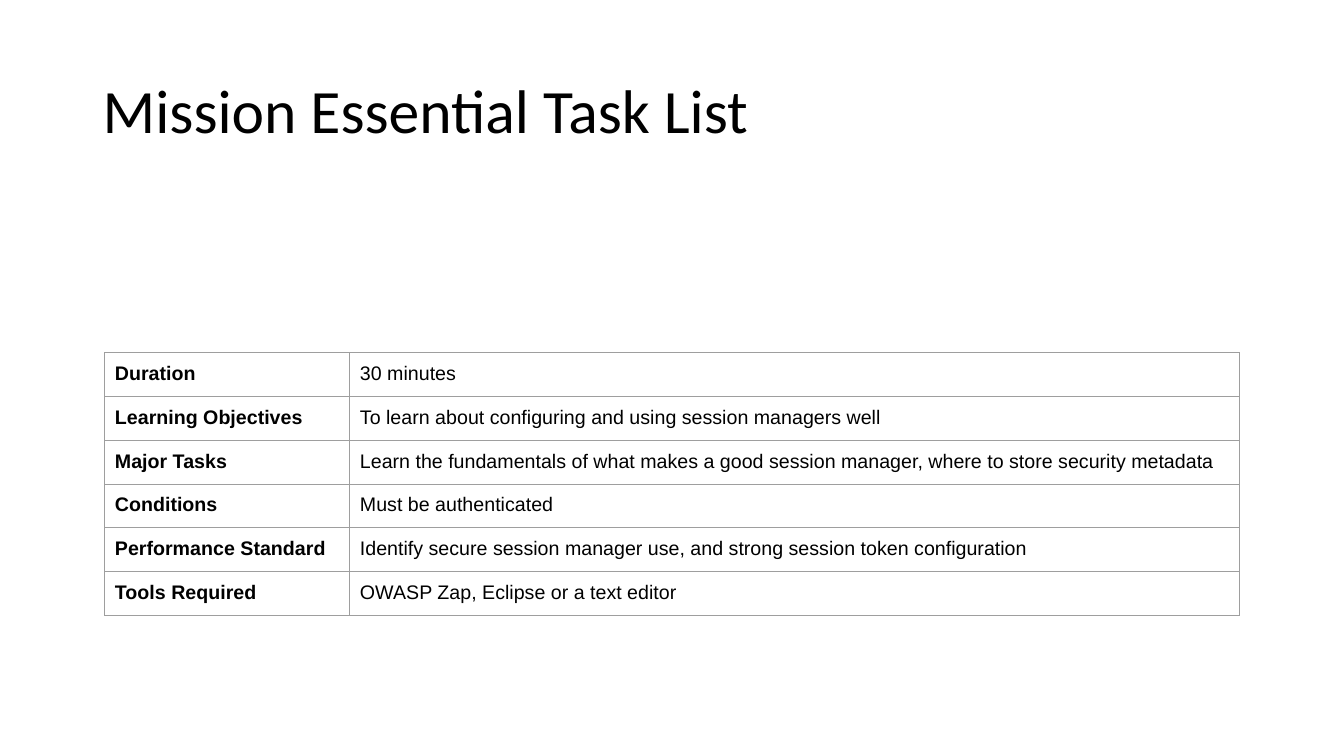
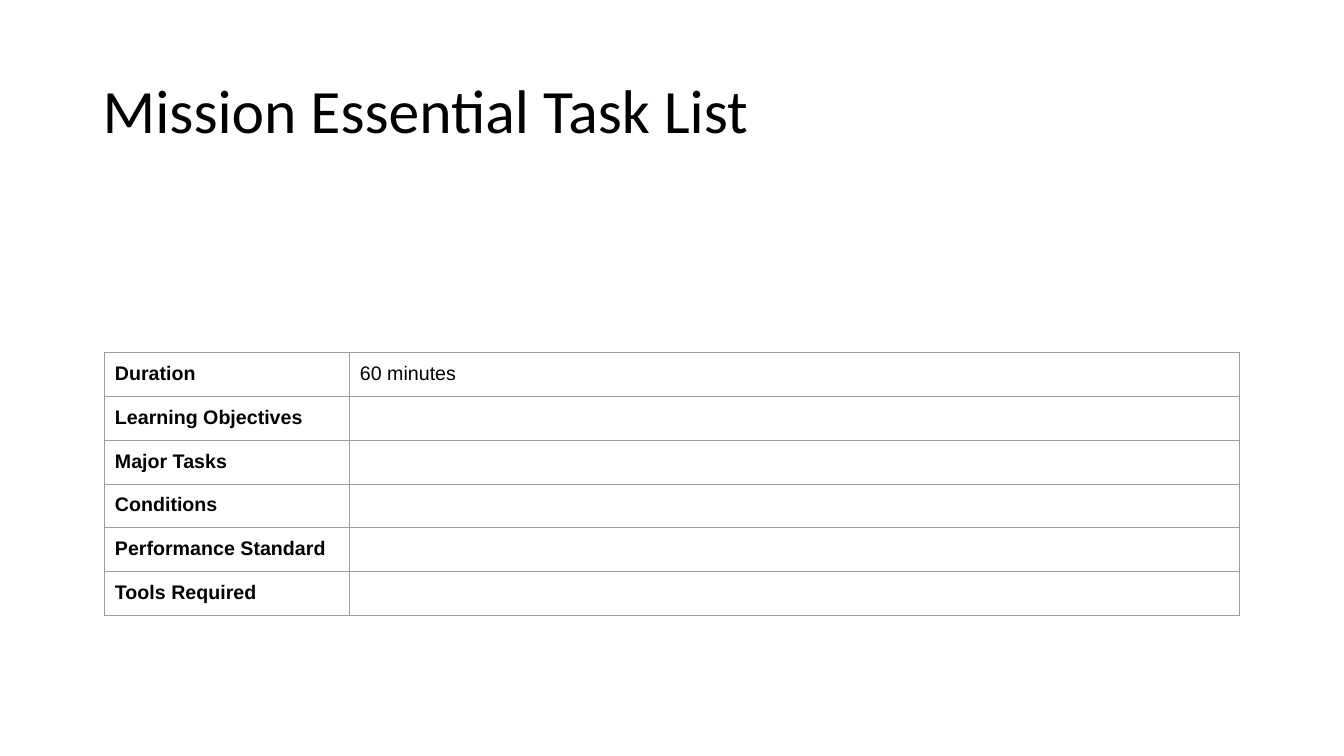
import pptx
import pptx.dml.color
import pptx.enum.text
import pptx.oxml.ns
import pptx.util
from lxml import etree

Inches = pptx.util.Inches
Pt = pptx.util.Pt

# Shared style
BLACK = pptx.dml.color.RGBColor(0x00, 0x00, 0x00)
BORDER_GREY = pptx.dml.color.RGBColor(0x9E, 0x9E, 0x9E)
TITLE_FONT = "Calibri"
TABLE_FONT = "Arial"
INSET = Inches(0.1)
COLUMN_WIDTHS = (2.43, 8.82)
ROW_HEIGHT = 0.42

# Content
TITLE = "Mission Essential Task List"
LABELS = ("Duration", "Learning Objectives", "Major Tasks",
          "Conditions", "Performance Standard", "Tools Required")
TASK_LISTS = (
    ("30 minutes",
     "To learn about configuring and using session managers well",
     "Learn the fundamentals of what makes a good session manager, "
     "where to store security metadata",
     "Must be authenticated",
     "Identify secure session manager use, and strong session token configuration",
     "OWASP Zap, Eclipse or a text editor"),
    ("60 minutes", "", "", "", "", ""),
)


def style_text(paragraph, font_name, size, bold=False):
    for span in paragraph.runs:
        span.font.name = font_name
        span.font.size = Pt(size)
        span.font.bold = bold
        span.font.color.rgb = BLACK


def set_insets(target):
    target.margin_left = target.margin_right = INSET
    target.margin_top = target.margin_bottom = INSET


def add_title(page, text):
    box = page.shapes.add_textbox(Inches(0.92), Inches(0.4), Inches(11.5), Inches(1.45))
    frame = box.text_frame
    frame.word_wrap = True
    frame.vertical_anchor = pptx.enum.text.MSO_ANCHOR.MIDDLE
    set_insets(frame)
    frame.text = text
    paragraph = frame.paragraphs[0]
    paragraph.line_spacing = 0.9
    style_text(paragraph, TITLE_FONT, 44)


def add_borders(cell):
    properties = cell._tc.get_or_add_tcPr()
    qualified = pptx.oxml.ns.qn
    for side in ("a:lnL", "a:lnR", "a:lnT", "a:lnB"):
        line = etree.SubElement(properties, qualified(side), w=str(Pt(0.75)))
        fill = etree.SubElement(line, qualified("a:solidFill"))
        etree.SubElement(fill, qualified("a:srgbClr"), val=str(BORDER_GREY))


def fill_cell(cell, text, bold):
    add_borders(cell)
    cell.fill.background()
    # Empty cells keep the default margins, so that their rows do not grow
    if text:
        set_insets(cell)
        cell.text_frame.text = text
        style_text(cell.text_frame.paragraphs[0], TABLE_FONT, 14, bold)


def add_task_table(page, values):
    frame = page.shapes.add_table(
        len(LABELS), len(COLUMN_WIDTHS), Inches(1.04), Inches(3.5),
        Inches(sum(COLUMN_WIDTHS)), Inches(ROW_HEIGHT * len(LABELS)))
    table = frame.table
    table.first_row = False
    table.horz_banding = False
    for column, width in zip(table.columns, COLUMN_WIDTHS):
        column.width = Inches(width)
    for row, label, value in zip(table.rows, LABELS, values):
        row.height = Inches(ROW_HEIGHT)
        fill_cell(row.cells[0], label, bold=True)
        fill_cell(row.cells[1], value, bold=False)


def main():
    deck = pptx.Presentation()
    deck.slide_width = Inches(13.33)
    deck.slide_height = Inches(7.5)
    for values in TASK_LISTS:
        page = deck.slides.add_slide(deck.slide_layouts[6])
        add_title(page, TITLE)
        add_task_table(page, values)
    deck.save("out.pptx")


if __name__ == "__main__":
    main()
